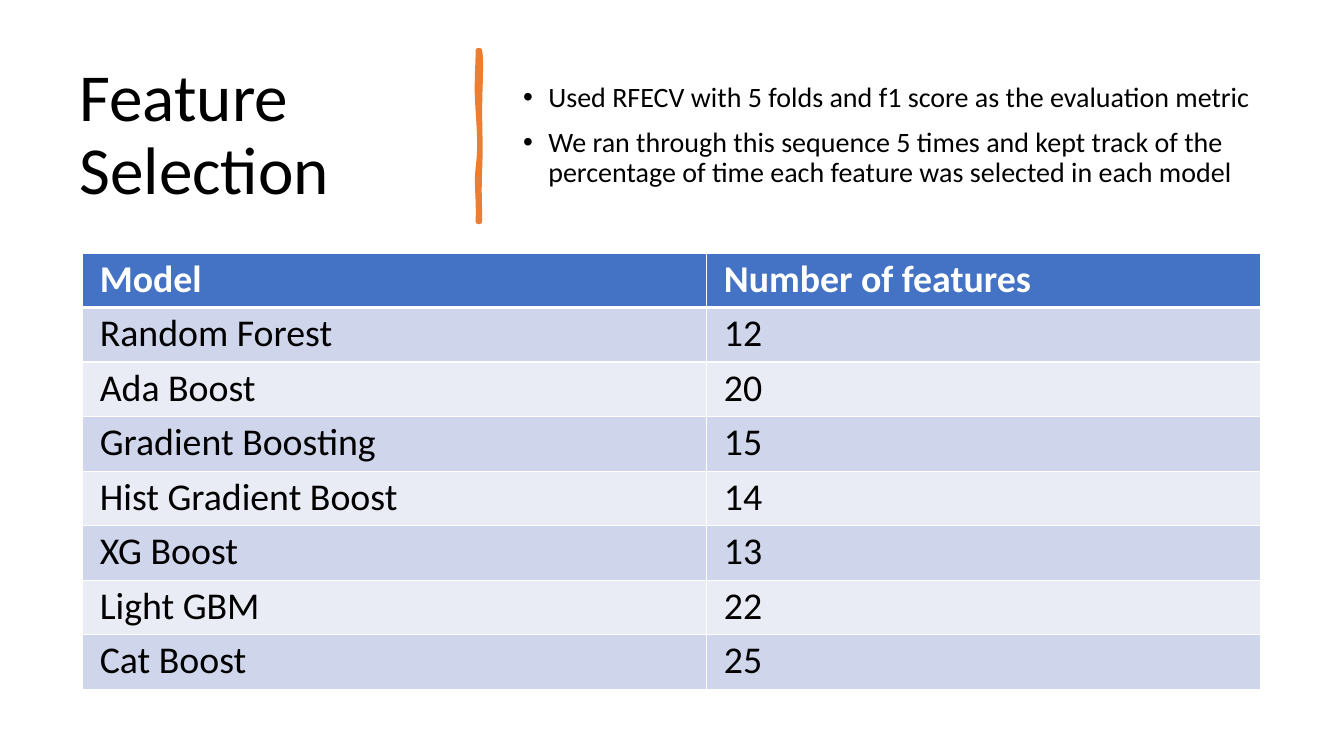
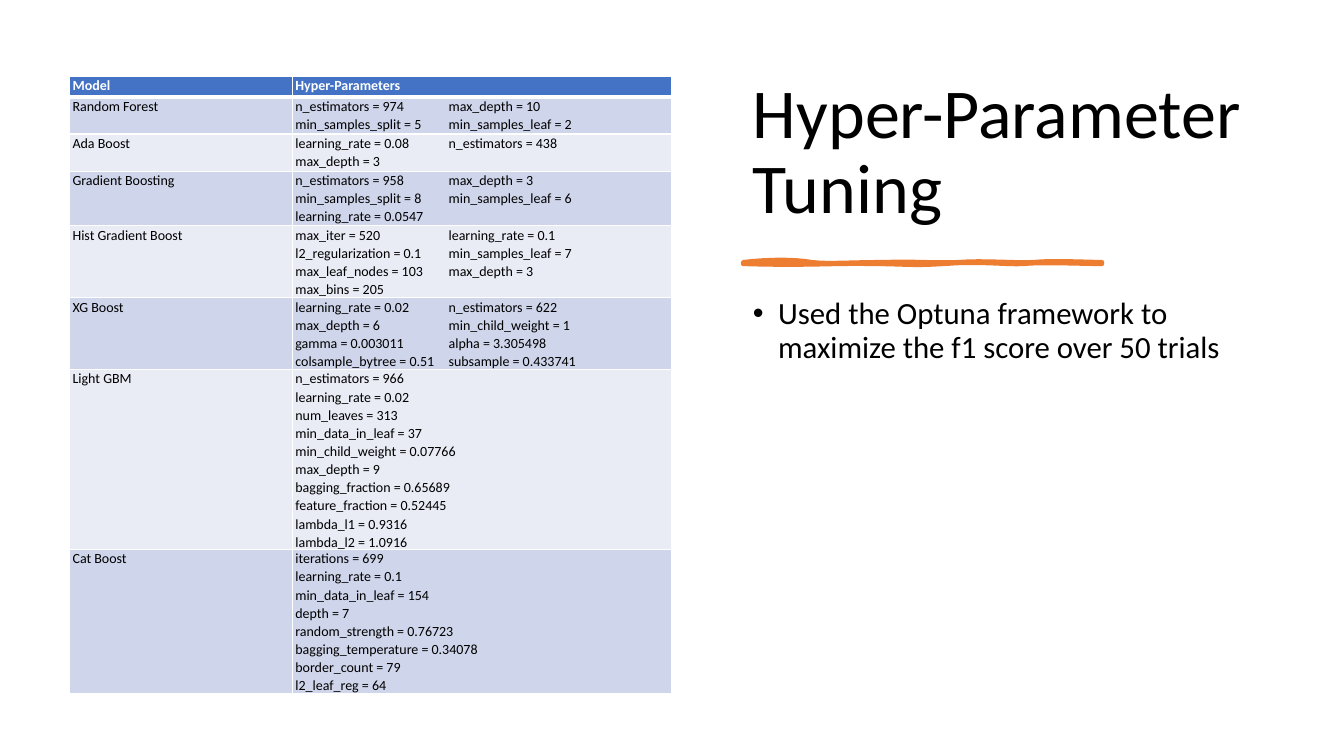
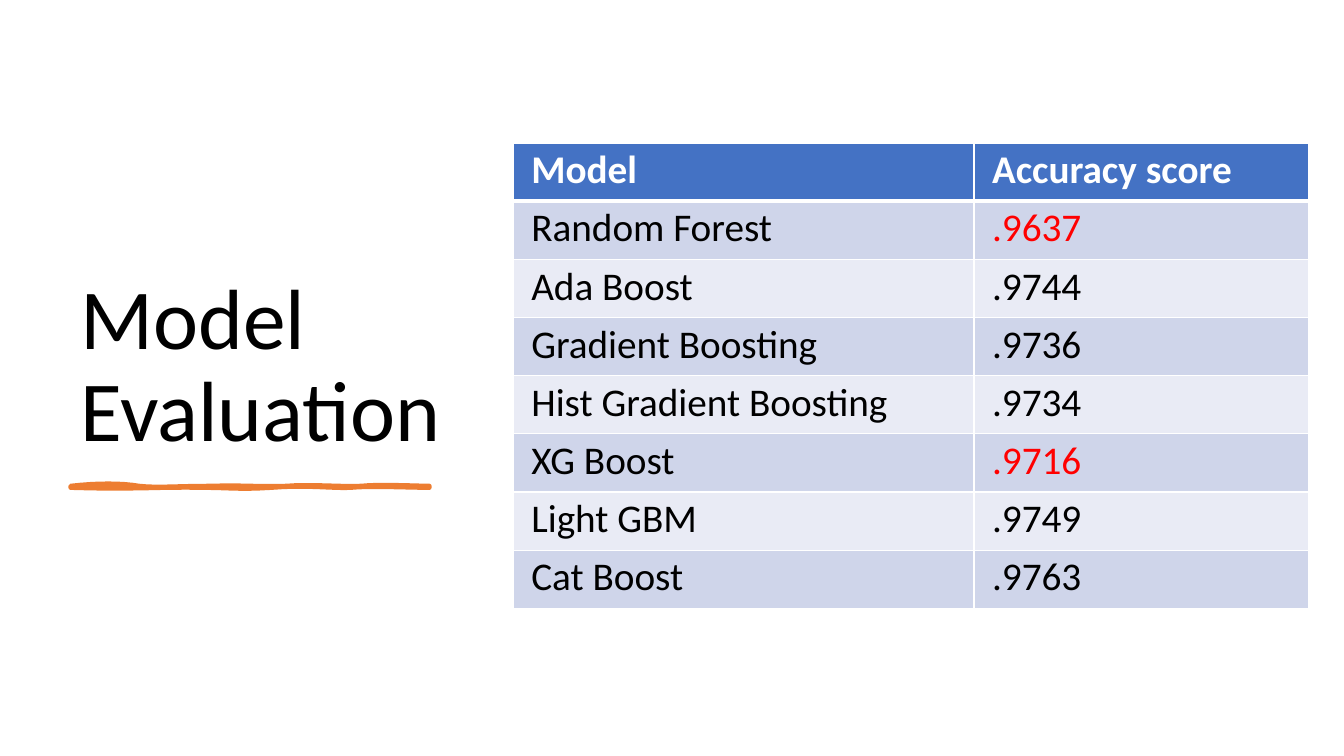
"""Build three slides on feature selection, tuning and evaluation of boosting models."""
from dataclasses import dataclass

from lxml import etree
from pptx import Presentation
from pptx.dml.color import RGBColor
from pptx.enum.text import MSO_ANCHOR
from pptx.oxml.ns import qn
from pptx.util import Emu, Inches, Pt

TOP, MIDDLE, BOTTOM = MSO_ANCHOR.TOP, MSO_ANCHOR.MIDDLE, MSO_ANCHOR.BOTTOM


@dataclass(frozen=True)
class Theme:
    font: str = "Calibri"
    ink: str = "000000"
    paper: str = "FFFFFF"
    accent: str = "ED7D31"
    header: str = "4472C4"
    bands: tuple[str, str] = ("CFD5EA", "E9EBF5")
    alert: str = "FF0000"
    title_leading: float = 0.9
    table_leading: float = 1.07
    bullet_gap: int = 10
    thin: int = 1
    thick: int = 3
    unit: float = 0.1


@dataclass(frozen=True)
class Box:
    """A rectangle in grid columns and rows."""
    col: float
    row: float
    cols: float
    rows: float


@dataclass(frozen=True)
class Brush:
    """A hand-drawn stroke: Bezier points as (along, across) and its pen width."""
    points: tuple[tuple[float, float], ...]
    pen: float
    vertical: bool = False


@dataclass(frozen=True)
class Grid:
    """A two-column table; a row is as high as its lines times pitch, plus pad."""
    col: float
    row: float
    widths: tuple[float, float]
    pitch: float
    size: int
    inset: float
    pad: float = 0
    tab: float = 0
    alerts: tuple[str, ...] = ()


THEME = Theme()
UNDERLINE = Brush((
    (0, 0), (2.6, -0.3), (5.1, -0.3), (6.8, 0), (8.5, 0.2), (10.7, 0), (13.9, 0),
    (17.1, -0.1), (19, 0.1), (21.4, 0), (23.8, -0.2), (26.8, 0.1), (28.8, 0),
    (30.8, -0.2), (34.1, 0), (35.6, 0), (35.6, 0), (35.6, 0.1), (35.6, 0.2),
    (33.8, 0.2), (29.4, 0), (27.8, 0.2), (26.1, 0.3), (23.4, -0.1), (19.9, 0.2),
    (16.5, 0.4), (16, 0.2), (12.8, 0.2), (9.6, 0.1), (6.1, 0.4), (0, 0.2)), 3)
DIVIDER = Brush((
    (0, 0.2), (1.2, 0.4), (3.8, 0.2), (6, 0.2), (8.2, 0.2), (9.4, 0.3), (11.8, 0.2),
    (14.3, 0.1), (14.9, 0.2), (17, 0.2), (17, 0.1), (17, 0.1), (17, 0), (14.6, 0.1),
    (13.3, -0.2), (11.7, 0), (10.1, 0.2), (8.8, 0.2), (6, 0), (3.3, -0.2),
    (1.7, 0), (0, 0)), 3.25, True)

MODELS = ("Random Forest", "Ada Boost", "Gradient Boosting", "Hist Gradient Boost",
          "XG Boost", "Light GBM", "Cat Boost")
FEATURES = ("12", "20", "15", "14", "13", "22", "25")
SCORES = (".9637", ".9744", ".9736", ".9734", ".9716", ".9749", ".9763")
PARAMETERS = (
    "n_estimators = 974\tmax_depth = 10\nmin_samples_split = 5\tmin_samples_leaf = 2",
    "learning_rate = 0.08\tn_estimators = 438\nmax_depth = 3",
    "n_estimators = 958\tmax_depth = 3\nmin_samples_split = 8\tmin_samples_leaf = 6\n"
    "learning_rate = 0.0547",
    "max_iter = 520\tlearning_rate = 0.1\nl2_regularization = 0.1\tmin_samples_leaf = 7\n"
    "max_leaf_nodes = 103\tmax_depth = 3\nmax_bins = 205",
    "learning_rate = 0.02\tn_estimators = 622\nmax_depth = 6\tmin_child_weight = 1\n"
    "gamma = 0.003011\talpha = 3.305498\ncolsample_bytree = 0.51\tsubsample = 0.433741",
    "n_estimators = 966\nlearning_rate = 0.02\nnum_leaves = 313\nmin_data_in_leaf = 37\n"
    "min_child_weight = 0.07766\nmax_depth = 9\nbagging_fraction = 0.65689\n"
    "feature_fraction = 0.52445\nlambda_l1 = 0.9316\nlambda_l2 = 1.0916",
    "iterations = 699\nlearning_rate = 0.1\nmin_data_in_leaf = 154\ndepth = 7\n"
    "random_strength = 0.76723\nbagging_temperature = 0.34078\nborder_count = 79\n"
    "l2_leaf_reg = 64",
)


def span(units: float) -> Emu:
    """Convert grid units to a length."""
    return Inches(units * THEME.unit)


def rgb(code: str) -> RGBColor:
    """Turn a hex code into a colour."""
    return RGBColor.from_string(code)


def write_lines(tf, lines, size: int, leading: float, color: str = THEME.ink,
                bold: bool = False) -> list:
    """Write one paragraph per line and return the paragraphs."""
    for i, line in enumerate(lines):
        p = tf.add_paragraph() if i else tf.paragraphs[0]
        p.line_spacing = leading
        r = p.add_run()
        r.text = line
        r.font.name, r.font.size, r.font.bold = THEME.font, Pt(size), bold
        r.font.color.rgb = rgb(color)
    return list(tf.paragraphs)


def add_text(s, box: Box, lines, size: int, anchor) -> list:
    """Add a wrapped text box."""
    sp = s.shapes.add_textbox(span(box.col), span(box.row), span(box.cols), span(box.rows))
    tf = sp.text_frame
    tf.word_wrap, tf.vertical_anchor = True, anchor
    return write_lines(tf, lines, size, THEME.title_leading)


def add_bullets(s, box: Box, lines, size: int, anchor) -> None:
    """Add a bulleted text box."""
    for p in add_text(s, box, lines, size, anchor):
        p.space_before = Pt(THEME.bullet_gap)
        pr = p._p.get_or_add_pPr()
        pr.set("marL", str(span(2.5)))
        pr.set("indent", str(-span(2.5)))
        etree.SubElement(pr, qn("a:buFont")).set("typeface", "Arial")
        etree.SubElement(pr, qn("a:buChar")).set("char", "•")


def flatten(points, steps: int = 8) -> list[tuple[float, float]]:
    """Sample a chain of cubic Bezier curves."""
    out = [points[0]]
    for i in range(0, len(points) - 1, 3):
        for k in range(1, steps + 1):
            t = k / steps
            weights = ((1 - t) ** 3, 3 * t * (1 - t) ** 2, 3 * t * t * (1 - t), t ** 3)
            curve = points[i:i + 4]
            out.append(tuple(sum(w * c[axis] for w, c in zip(weights, curve))
                             for axis in (0, 1)))
    return out


def add_brush(s, brush: Brush, col: float, row: float) -> None:
    """Draw a brush stroke that starts at the given grid point."""
    order = -1 if brush.vertical else 1
    offsets = [point[::order] for point in flatten(brush.points)]
    spots = [(span(col + x), span(row + y)) for x, y in offsets]
    builder = s.shapes.build_freeform(*spots[0], scale=1.0)
    builder.add_line_segments(spots[1:], close=True)
    sp = builder.convert_to_shape()
    sp.shadow.inherit = False
    sp.fill.solid()
    sp.fill.fore_color.rgb = rgb(THEME.accent)
    sp.line.color.rgb = rgb(THEME.accent)
    sp.line.width = Pt(brush.pen)


def set_borders(cell, top: int, bottom: int) -> None:
    """Give a cell rules on all four sides."""
    pr = cell._tc.get_or_add_tcPr()
    sides = (("lnL", THEME.thin), ("lnR", THEME.thin), ("lnT", top), ("lnB", bottom))
    for i, (side, width) in enumerate(sides):
        ln = etree.Element(qn(f"a:{side}"), w=str(Pt(width)))
        fill = etree.SubElement(ln, qn("a:solidFill"))
        etree.SubElement(fill, qn("a:srgbClr")).set("val", THEME.paper)
        pr.insert(i, ln)


def add_tab(p, position: float) -> None:
    """Add a left tab stop to a paragraph."""
    tabs = etree.SubElement(p._p.get_or_add_pPr(), qn("a:tabLst"))
    etree.SubElement(tabs, qn("a:tab"), pos=str(span(position)), algn="l")


def fill_cell(cell, text: str, row: int, grid: Grid) -> None:
    """Fill, rule and write one table cell."""
    head = row == 0
    cell.fill.solid()
    cell.fill.fore_color.rgb = rgb(THEME.header if head else THEME.bands[(row - 1) % 2])
    set_borders(cell, THEME.thick if row == 1 else THEME.thin,
                THEME.thick if head else THEME.thin)
    cell.margin_left = cell.margin_right = span(grid.inset)
    cell.margin_top = cell.margin_bottom = 0
    color = THEME.paper if head else THEME.alert if text in grid.alerts else THEME.ink
    lines = text.split("\n")
    paragraphs = write_lines(cell.text_frame, lines, grid.size, THEME.table_leading,
                             color, head)
    for p, line in zip(paragraphs, lines):
        if "\t" in line:
            add_tab(p, grid.tab)


def add_grid(s, grid: Grid, heading: str, models, values) -> None:
    """Add a banded table of models and their values."""
    rows = [("Model", heading), *zip(models, values)]
    heights = [grid.pitch * (value.count("\n") + 1) + grid.pad for _, value in rows]
    table = s.shapes.add_table(len(rows), 2, span(grid.col), span(grid.row),
                               span(sum(grid.widths)), span(sum(heights))).table
    table.first_row = table.horz_banding = False
    for column, width in zip(table.columns, grid.widths):
        column.width = span(width)
    for i, (texts, height) in enumerate(zip(rows, heights)):
        table.rows[i].height = span(height)
        for j, text in enumerate(texts):
            fill_cell(table.cell(i, j), text, i, grid)


def feature_slide(s) -> None:
    """Draw the feature selection slide."""
    add_text(s, Box(6.9, 5.5, 37.4, 16), ["Feature Selection"], 48, MIDDLE)
    add_brush(s, DIVIDER, 47.4, 5)
    add_bullets(s, Box(50.9, 5.5, 75.4, 16), [
        "Used RFECV with 5 folds and f1 score as the evaluation metric",
        "We ran through this sequence 5 times and kept track of the percentage of time "
        "each feature was selected in each model"], 20, MIDDLE)
    add_grid(s, Grid(8.2, 25.1, (61.9, 54.9), 5.41, 27, 1.7),
             "Number of features", MODELS, FEATURES)


def tuning_slide(s) -> None:
    """Draw the hyper-parameter tuning slide."""
    add_text(s, Box(73.7, 7, 52.7, 16.2), ["Hyper-Parameter Tuning"], 50, BOTTOM)
    add_brush(s, UNDERLINE, 73.7, 26)
    add_bullets(s, Box(73.7, 29.1, 52.7, 38.8), [
        "Used the Optuna framework to maximize the f1 score over 50 trials"], 22, TOP)
    add_grid(s, Grid(6.9, 7.6, (22.1, 37.6), 1.7, 10, 0.3, pad=0.3, tab=15.2),
             "Hyper-Parameters", MODELS, PARAMETERS)


def evaluation_slide(s) -> None:
    """Draw the model evaluation slide."""
    add_text(s, Box(7, 7, 39.1, 39.1), ["Model Evaluation"], 61, BOTTOM)
    add_brush(s, UNDERLINE, 7, 48.2)
    models = [m + "ing" if m == "Hist Gradient Boost" else m for m in MODELS]
    add_grid(s, Grid(50.9, 14.2, (45.7, 33.2), 5.77, 28, 1.8, alerts=(".9637", ".9716")),
             "Accuracy score", models, SCORES)


def main() -> None:
    """Build and save the presentation."""
    prs = Presentation()
    prs.slide_width, prs.slide_height = Inches(13.33), Inches(7.5)
    for draw in (feature_slide, tuning_slide, evaluation_slide):
        draw(prs.slides.add_slide(prs.slide_layouts[6]))
    prs.save("out.pptx")


if __name__ == "__main__":
    main()
